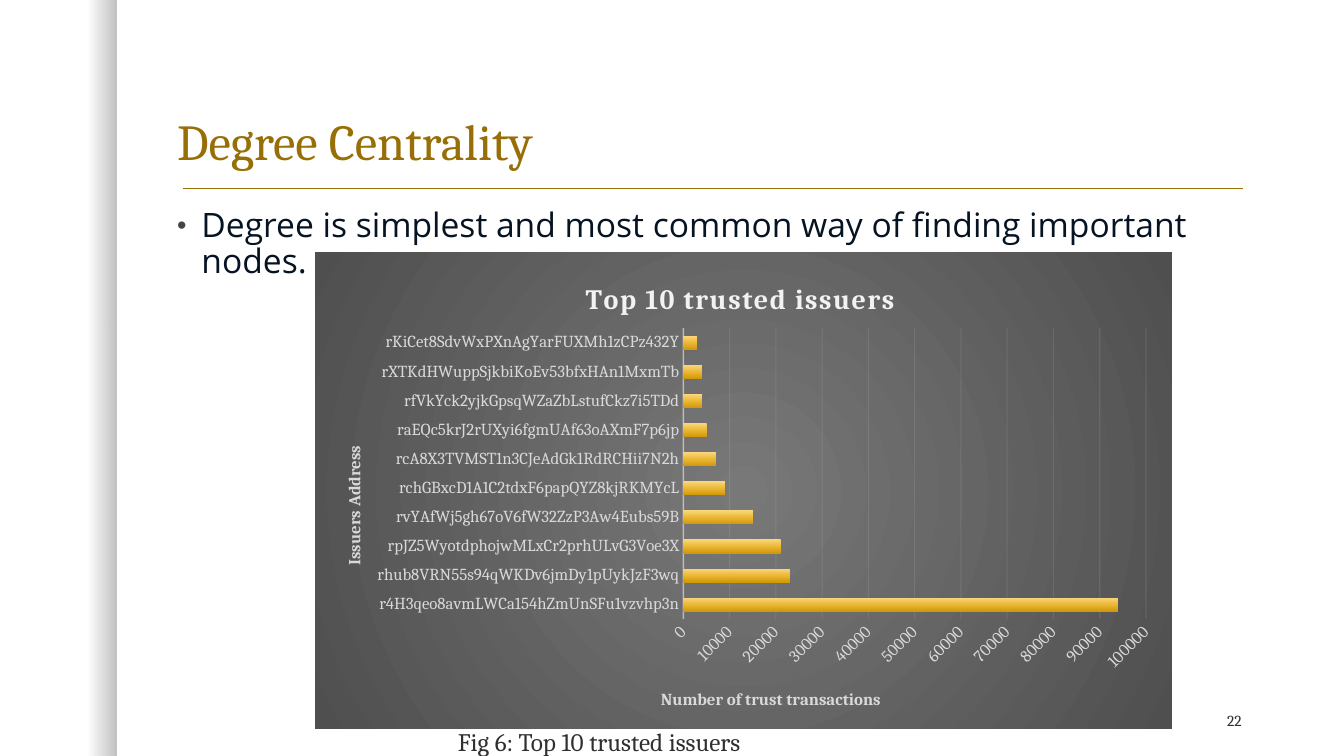
from lxml import etree
from pptx import Presentation
from pptx.chart.data import CategoryChartData
from pptx.dml.color import RGBColor
from pptx.enum.chart import XL_CHART_TYPE, XL_TICK_MARK
from pptx.enum.shapes import MSO_CONNECTOR, MSO_SHAPE
from pptx.enum.text import MSO_ANCHOR, PP_ALIGN
from pptx.oxml import parse_xml
from pptx.oxml.ns import nsdecls, qn
from pptx.util import Pt

SERIF, SANS = "Cambria", "Open Sans"
GOLD, DARK, NAVY = "986F07", "303030", "051323"
LABEL, BRIGHT = "D9D9D9", "F2F2F2"

ISSUERS = [
    ("r4H3qeo8avmLWCa154hZmUnSFu1vzvhp3n", 94000),
    ("rhub8VRN55s94qWKDv6jmDy1pUykJzF3wq", 23000),
    ("rpJZ5WyotdphojwMLxCr2prhULvG3Voe3X", 21000),
    ("rvYAfWj5gh67oV6fW32ZzP3Aw4Eubs59B", 15000),
    ("rchGBxcD1A1C2tdxF6papQYZ8kjRKMYcL", 9000),
    ("rcA8X3TVMST1n3CJeAdGk1RdRCHii7N2h", 7000),
    ("raEQc5krJ2rUXyi6fgmUAf63oAXmF7p6jp", 5000),
    ("rfVkYck2yjkGpsqWZaZbLstufCkz7i5TDd", 4000),
    ("rXTKdHWuppSjkbiKoEv53bfxHAn1MxmTb", 4000),
    ("rKiCet8SdvWxPXnAgYarFUXMh1zCPz432Y", 3000),
]


def color(code):
    return RGBColor.from_string(code)


def style(font, size, code, name=SERIF, bold=False):
    font.size, font.name, font.bold = Pt(size), name, bold
    font.color.rgb = color(code)


def gradient(stops, angle=None):
    """Return a gradFill of (percent, colour, opacity) stops; no angle means circular."""
    marks = "".join(
        f'<a:gs pos="{at * 1000}"><a:srgbClr val="{code}">'
        f'<a:alpha val="{opacity * 1000}"/></a:srgbClr></a:gs>'
        for at, code, opacity in stops)
    if angle is None:
        course = ('<a:path path="circle"><a:fillToRect l="50000" t="50000" '
                  'r="50000" b="50000"/></a:path>')
    else:
        course = f'<a:lin ang="{angle * 60000}" scaled="0"/>'
    return parse_xml(f'<a:gradFill {nsdecls("a")} rotWithShape="1">'
                     f'<a:gsLst>{marks}</a:gsLst>{course}</a:gradFill>')


def set_line(line, code, width, opacity=100):
    line.color.rgb = color(code)
    line.width = Pt(width)
    if opacity < 100:
        shade = line.fill._xPr.find(".//" + qn("a:srgbClr"))
        etree.SubElement(shade, qn("a:alpha")).set("val", str(opacity * 1000))


def add_edge_shadow(page):
    strip = page.shapes.add_shape(MSO_SHAPE.RECTANGLE, 0, 0, Pt(83.5), Pt(540))
    strip.shadow.inherit = False
    strip.line.fill.background()
    outline = strip._element.spPr.find(qn("a:prstGeom"))
    outline.addnext(gradient([(75, "000000", 0), (100, "000000", 25)], 0))


def add_rule(page, left, right, top):
    rule = page.shapes.add_connector(
        MSO_CONNECTOR.STRAIGHT, Pt(left), Pt(top), Pt(right), Pt(top))
    set_line(rule.line, GOLD, 1)
    etree.SubElement(rule._element.spPr, qn("a:effectLst"))


def add_bullet(para):
    properties = para._p.get_or_add_pPr()
    properties.set("marL", str(Pt(17.3)))
    properties.set("indent", str(-Pt(17.3)))
    for xml in ('<a:buClr {}><a:srgbClr val="454545"/></a:buClr>',
                '<a:buSzPct {} val="80000"/>',
                '<a:buFont {} typeface="Arial"/>',
                '<a:buChar {} char="•"/>'):
        properties.append(parse_xml(xml.format(nsdecls("a"))))


def add_text(page, bounds, text, size, code, name=SERIF, anchor=MSO_ANCHOR.TOP,
             align=PP_ALIGN.LEFT, spacing=1.0, bullet=False):
    frame = page.shapes.add_textbox(*map(Pt, bounds)).text_frame
    frame.word_wrap = True
    frame.vertical_anchor = anchor
    frame.text = text
    para = frame.paragraphs[0]
    para.alignment = align
    para.line_spacing = spacing
    if bullet:
        add_bullet(para)
    style(para.runs[0].font, size, code, name)


def place(parent, index, target="", **fractions):
    """Give a chart part a manual layout, in fractions of the chart."""
    previous = parent.find(qn("c:layout"))
    if previous is not None:
        parent.remove(previous)
    modes = '<c:xMode val="edge"/><c:yMode val="edge"/>'
    sizes = "".join(f'<c:{key} val="{value}"/>' for key, value in fractions.items())
    parent.insert(index, parse_xml(
        f'<c:layout {nsdecls("c")}><c:manualLayout>{target}{modes}{sizes}'
        f'</c:manualLayout></c:layout>'))


def set_title(title, text, size, code, x, y):
    title.text_frame.text = text
    span = title.text_frame.paragraphs[0].runs[0]
    style(span.font, size, code, bold=True)
    place(title._element, 1, x=x, y=y)
    return span


def style_axis(axis, title, x, y):
    set_title(axis.axis_title, title, 12, LABEL, x, y)
    axis.major_tick_mark = axis.minor_tick_mark = XL_TICK_MARK.NONE
    style(axis.tick_labels.font, 12, LABEL)


def add_issuer_chart(page, bounds):
    data = CategoryChartData(number_format="General")
    data.categories = [address for address, count in ISSUERS]
    data.add_series("Series 1", [count for address, count in ISSUERS])
    chart = page.shapes.add_chart(
        XL_CHART_TYPE.BAR_CLUSTERED, *map(Pt, bounds), data).chart
    style(chart.font, 10, DARK)
    chart.has_legend = False
    heading = set_title(chart.chart_title, "Top 10 trusted issuers", 20, BRIGHT, 0.31, 0.05)
    heading.font._element.set("spc", "100")

    addresses, counts = chart.category_axis, chart.value_axis
    style_axis(addresses, "Issuers Address", 0.03, 0.4)
    addresses.has_major_gridlines = False
    set_line(addresses.format.line, BRIGHT, 1, 54)
    style_axis(counts, "Number of trust transactions", 0.4, 0.91)
    counts.minimum_scale, counts.maximum_scale, counts.major_unit = 0, 100000, 10000
    counts.format.line.fill.background()
    counts.has_major_gridlines = True
    set_line(counts.major_gridlines.format.line, BRIGHT, 0.75, 10)
    counts._element.find(qn("c:txPr")).find(qn("a:bodyPr")).set("rot", "-2700000")

    plot = chart.plots[0]
    plot.gap_width, plot.overlap, plot.vary_by_categories = 115, -20, False
    bars = plot.series[0]
    bars.invert_if_negative = False
    bars._element.get_or_add_spPr().insert(0, gradient(
        [(0, "FBD77C", 100), (50, "EBB837", 100), (100, "D29909", 100)], 90))

    body = chart._chartSpace.find(qn("c:chart"))
    place(body.find(qn("c:plotArea")), 0, '<c:layoutTarget val="inner"/>',
          x=0.43, y=0.16, w=0.54, h=0.61)
    panel = parse_xml(f'<c:spPr {nsdecls("c", "a")}><a:ln><a:noFill/></a:ln></c:spPr>')
    panel.insert(0, gradient([(0, "787878", 100), (100, "4F4F4F", 100)]))
    body.addnext(panel)


def main():
    deck = Presentation()
    deck.slide_width, deck.slide_height = Pt(960), Pt(540)
    page = deck.slides.add_slide(deck.slide_layouts[6])
    add_edge_shadow(page)
    add_rule(page, 130.5, 888, 134.5)
    add_text(page, (119.5, 30, 774, 96), "Degree Centrality", 36, GOLD,
             anchor=MSO_ANCHOR.BOTTOM, spacing=0.9)
    add_text(page, (119.5, 145.5, 774, 340.5),
             "Degree is simplest and most common way of finding important nodes.",
             24, NAVY, SANS, spacing=0.9, bullet=True)
    add_issuer_chart(page, (225, 180, 612, 340.5))
    add_text(page, (810, 504, 84, 21.5), "22", 11, DARK,
             anchor=MSO_ANCHOR.MIDDLE, align=PP_ALIGN.RIGHT)
    add_text(page, (320, 515, 395, 29), "Fig 6: Top 10 trusted issuers", 18, DARK)
    deck.save("out.pptx")


if __name__ == "__main__":
    main()
